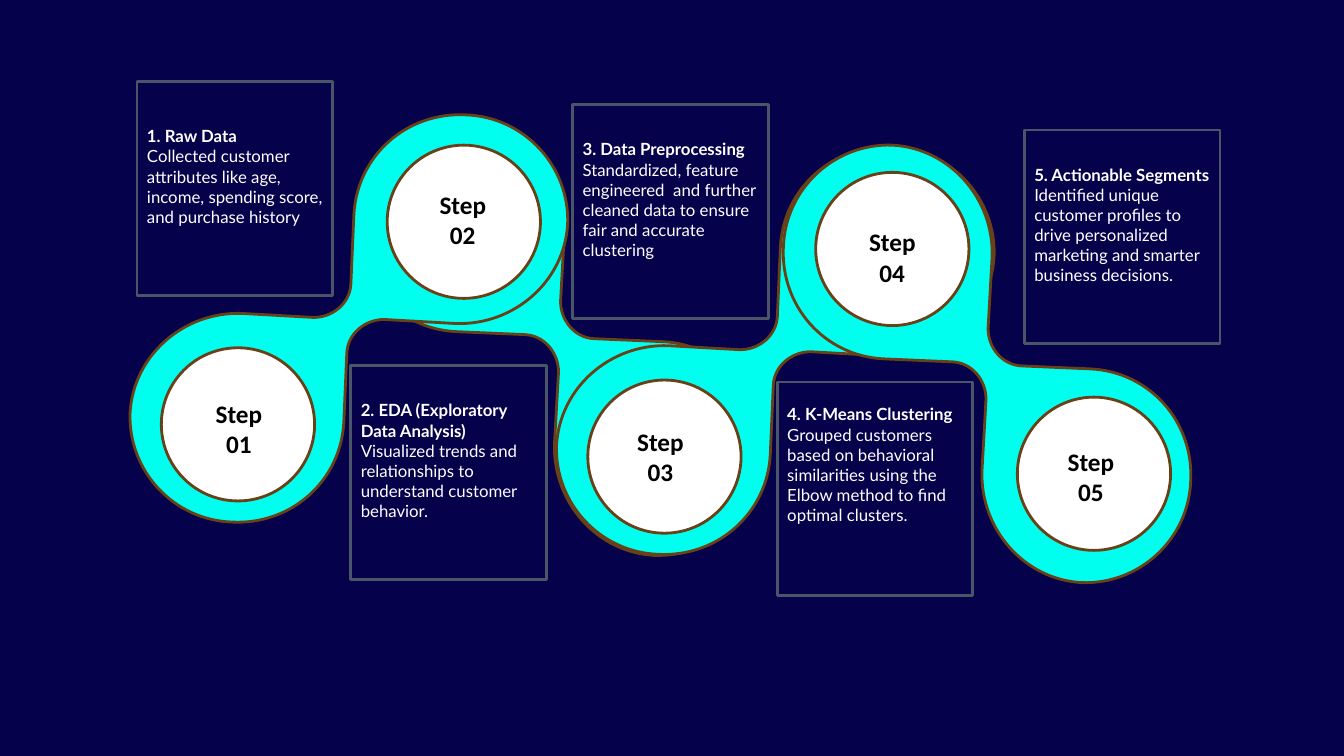
"""Build a slide with five linked clustering steps and a card explaining each one."""
from pptx import Presentation
from pptx.dml.color import RGBColor
from pptx.enum.shapes import MSO_SHAPE as Shape
from pptx.enum.text import MSO_ANCHOR as Anchor, PP_ALIGN as Align
from pptx.oxml.ns import qn
from pptx.util import Inches, Pt

NAVY, CYAN, BROWN, SLATE = "05014A", "00FFEF", "694119", "4A5568"
WHITE, BLACK = "FFFFFF", "000000"


def color(value):
    return RGBColor.from_string(value)


def paint(shape, fill, line):
    shape.shadow.inherit = False
    shape.fill.solid()
    shape.fill.fore_color.rgb = color(fill)
    shape.line.color.rgb = color(line)
    shape.line.width = Pt(2)


deck = Presentation()
deck.slide_width, deck.slide_height = Inches(13.33), Inches(7.5)
slide = deck.slides.add_slide(deck.slide_layouts[6])
slide.background.fill.solid()
slide.background.fill.fore_color.rgb = color(NAVY)

# Half of the link outline around its centre; the other half is its point reflection.
# Three points make a curve, one point a straight line.
half = [
    [(1.74, -2.0), (2.19, -1.51), (2.17, -0.94)],
    [(2.14, -0.37), (1.64, 0.07), (1.06, 0.05)],
    [(0.35, 0.01)],
    [(0.16, 0.01), (-0.01, 0.15), (-0.02, 0.34)],
    [(-0.05, 1.03)],
    [(-0.08, 1.61), (-0.57, 2.05), (-1.16, 2.02)],
]
outline = half + [[(-x, -y) for x, y in segment] for segment in half]
links = [
    (5.55, 3.34, "falling"),
    (7.69, 3.48, "rising"),
    (3.46, 3.16, "rising"),
    (9.79, 3.61, "falling"),
]
for center_x, center_y, direction in links:
    vertices = []
    for x, y in [outline[-1][-1]] + [point for segment in outline for point in segment]:
        if direction == "falling":
            x, y = y, -x
        vertices.append((Inches(center_x + x), Inches(center_y + y)))
    builder = slide.shapes.build_freeform(*vertices[0])
    builder.add_line_segments(vertices[1:], close=True)
    link = builder.convert_to_shape()
    paint(link, CYAN, BROWN)
    stops = iter(link._element.xpath(".//a:lnTo"))
    for segment in outline:
        first, *others = [next(stops) for _ in segment]
        if others:
            first.tag = qn("a:cubicBezTo")
        for other in others:
            first.append(other[0])
            other.getparent().remove(other)

# Circle left and top, then label centre and top.
steps = [
    (1.6, 3.45, 2.37, 3.9),
    (3.84, 1.44, 4.59, 1.83),
    (5.83, 3.77, 6.55, 4.18),
    (8.09, 1.71, 8.85, 2.2),
    (10.09, 3.94, 10.82, 4.38),
]
circle_size, label_width = 1.52, 0.9
for number, (left, top, label_center, label_top) in enumerate(steps, 1):
    circle = slide.shapes.add_shape(
        Shape.OVAL, Inches(left), Inches(top), Inches(circle_size), Inches(circle_size))
    paint(circle, WHITE, BROWN)
    label = slide.shapes.add_textbox(
        Inches(label_center - label_width / 2), Inches(label_top),
        Inches(label_width), Inches(0.71)).text_frame
    label.word_wrap = True
    label.text = f"Step\n{number:02}"
    for line in label.paragraphs:
        line.alignment = Align.CENTER
        line.font.name, line.font.size, line.font.bold = "Calibri", Pt(18), True
        line.font.color.rgb = color(BLACK)

# Left, top, bottom inset, heading, description.
cards = [
    (1.36, 0.81, 0.29, "1. Raw Data",
     "Collected customer attributes like age, income, spending score, and purchase history"),
    (3.48, 3.63, 0.29, "2. EDA (Exploratory Data Analysis)",
     "Visualized trends and relationships to understand customer behavior."),
    (5.68, 1.04, 0.29, "3. Data Preprocessing",
     "Standardized, feature engineered  and further cleaned data to ensure fair and "
     "accurate clustering"),
    (7.71, 3.79, 0.53, "4. K-Means Clustering",
     "Grouped customers based on behavioral similarities using the Elbow method to find "
     "optimal clusters."),
    (10.16, 1.29, 0.29, "5. Actionable Segments",
     "Identified unique customer profiles to drive personalized marketing and smarter "
     "business decisions."),
]
for left, top, bottom_inset, heading, description in cards:
    card = slide.shapes.add_shape(
        Shape.RECTANGLE, Inches(left), Inches(top), Inches(1.94), Inches(2.12))
    paint(card, NAVY, SLATE)
    frame = card.text_frame
    frame.word_wrap = True
    frame.vertical_anchor = Anchor.MIDDLE
    frame.margin_bottom = Inches(bottom_inset)
    frame.text = f"{heading}\n{description}"
    for paragraph, bold in zip(frame.paragraphs, (True, False)):
        paragraph.alignment = Align.LEFT
        paragraph.font.name, paragraph.font.size = "Lato", Pt(12)
        paragraph.font.bold = bold
        paragraph.font.color.rgb = color(WHITE)

deck.save("out.pptx")
